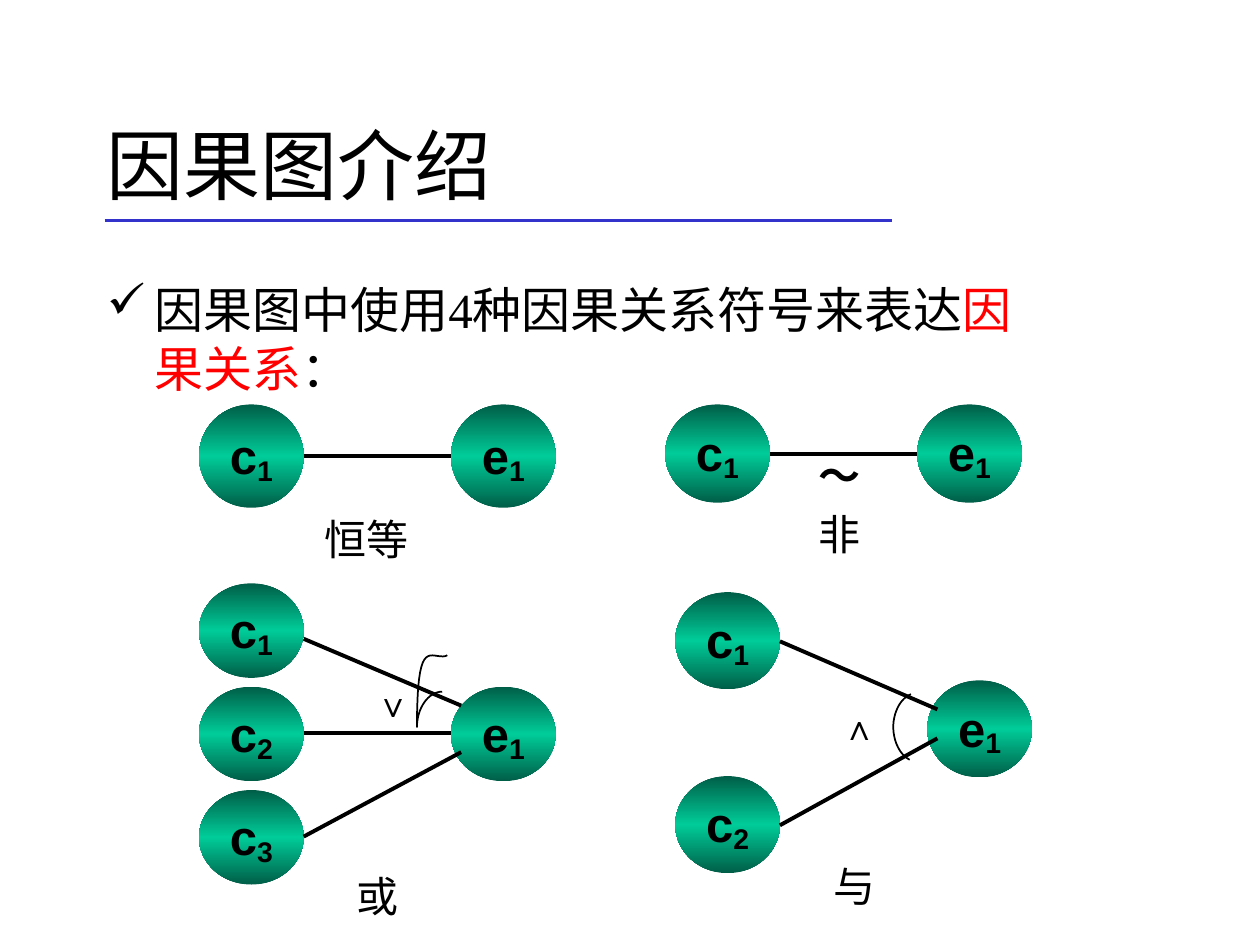
import copy
import dataclasses

import lxml.etree
import pptx
import pptx.dml.color
import pptx.enum.shapes
import pptx.enum.text
import pptx.oxml.ns
import pptx.util

PX = 9144
NODE_WIDTH = 83
EFFECT_LEFT = 200


@dataclasses.dataclass(frozen=True)
class Theme:
    """Colours, fonts and type sizes of the slide."""
    ink: str = "000000"
    accent: str = "FF0000"
    rule: str = "3333CC"
    node_edge: str = "005E47"
    node_middle: str = "00CC99"
    body_font: str = "Times New Roman"
    node_font: str = "Arial"
    title_size: int = 44
    text_size: int = 28
    caption_size: int = 24
    mark_size: int = 20
    link_width: float = 2.25
    arc_width: float = 1


THEME = Theme()
ALIGN = pptx.enum.text.PP_ALIGN
ANCHOR = pptx.enum.text.MSO_ANCHOR


def px(*lengths):
    """Turn px lengths into a list of EMU lengths."""
    return [pptx.util.Emu(round(length * PX)) for length in lengths]


def rgb(code):
    """Return the colour of a hexadecimal code."""
    return pptx.dml.color.RGBColor.from_string(code)


def write_text(para, text, size=THEME.text_size, font=THEME.body_font,
               color=THEME.ink, bold=False, baseline=None):
    """Append a formatted span to a paragraph."""
    span = para.add_run()
    span.text = text
    span.font.size = pptx.util.Pt(size)
    span.font.name = font
    span.font.bold = bold
    span.font.color.rgb = rgb(color)
    if baseline:
        span.font._element.set("baseline", str(baseline * 1000))


def add_box(shapes, left, top, width, height, align=ALIGN.LEFT, anchor=ANCHOR.TOP):
    """Add a wrapping text box and return its first paragraph."""
    frame = shapes.add_textbox(*px(left, top, width, height)).text_frame
    frame.word_wrap = True
    frame.vertical_anchor = anchor
    para = frame.paragraphs[0]
    para.alignment = align
    return para


def add_line(shapes, ends, color=THEME.ink):
    """Add a straight line without a shadow."""
    line = shapes.add_connector(pptx.enum.shapes.MSO_CONNECTOR.STRAIGHT, *px(*ends))
    line.line.color.rgb = rgb(color)
    line.line.width = pptx.util.Pt(THEME.link_width)
    lxml.etree.SubElement(line._element.spPr, pptx.oxml.ns.qn("a:effectLst"))


def add_node(shapes, left, top, height, letter, number):
    """Add a shaded ellipse with a subscripted label."""
    node = shapes.add_shape(pptx.enum.shapes.MSO_SHAPE.OVAL,
                            *px(left, top, NODE_WIDTH, height))
    node.shadow.inherit = False
    node.line.fill.background()
    node.fill.gradient()
    node.fill.gradient_angle = 90
    stop_list = node._element.spPr.find(".//" + pptx.oxml.ns.qn("a:gsLst"))
    stop_list.append(copy.deepcopy(stop_list[0]))
    colors = (THEME.node_edge, THEME.node_middle, THEME.node_edge)
    for index, (stop, color) in enumerate(zip(node.fill.gradient_stops, colors)):
        stop.position = index / 2
        stop.color.rgb = rgb(color)
    frame = node.text_frame
    frame.word_wrap = False
    frame.vertical_anchor = ANCHOR.MIDDLE
    para = frame.paragraphs[0]
    para.alignment = ALIGN.CENTER
    write_text(para, letter, font=THEME.node_font, bold=True)
    write_text(para, str(number), font=THEME.node_font, bold=True, baseline=-14)


def curve_points(start, curves, steps=16):
    """Sample points along a chain of cubic curves."""
    points = [start]
    for first, second, end in curves:
        corners = (points[-1], first, second, end)
        for step in range(1, steps + 1):
            t = step / steps
            weights = ((1 - t) ** 3, 3 * t * (1 - t) ** 2, 3 * t * t * (1 - t), t ** 3)
            points.append(tuple(sum(weight * corner[axis] for weight, corner
                                    in zip(weights, corners)) for axis in (0, 1)))
    return points


def add_arc(shapes, left, top, start, curves):
    """Add an open, unfilled curve."""
    points = [px(left + x, top + y) for x, y in curve_points(start, curves)]
    builder = shapes.build_freeform(*points[0])
    builder.add_line_segments(points[1:], close=False)
    arc = builder.convert_to_shape()
    arc.shadow.inherit = False
    arc.fill.background()
    arc.line.color.rgb = rgb(THEME.ink)
    arc.line.width = pptx.util.Pt(THEME.arc_width)


def add_heading(page, left, top, width, height):
    """Place the title and the rule under it."""
    add_line(page.shapes, (left + 8, top + 108, left + 633, top + 108), THEME.rule)
    para = add_box(page.shapes, left, top, width, height, anchor=ANCHOR.MIDDLE)
    write_text(para, "因果图介绍", size=THEME.title_size)


def add_statement(page, left, top, width, height):
    """Place the ticked sentence."""
    para = add_box(page.shapes, left, top, width, height)
    properties = para._p.get_or_add_pPr()
    indent, = px(38)
    properties.set("marL", str(indent))
    properties.set("indent", str(-indent))
    tint = lxml.etree.SubElement(properties, pptx.oxml.ns.qn("a:buClr"))
    lxml.etree.SubElement(tint, pptx.oxml.ns.qn("a:srgbClr"), val=THEME.ink)
    lxml.etree.SubElement(properties, pptx.oxml.ns.qn("a:buChar"), char="✓")
    write_text(para, "因果图中使用4种因果关系符号来表达")
    write_text(para, "因果关系", color=THEME.accent)
    write_text(para, "：")


def add_relation(page, left, top, height, causes, effect, links, caption,
                 mark=None, arc=None):
    """Place one relation: causes, effect, links, caption, mark and arc."""
    shapes = page.shapes.add_group_shape().shapes
    for number, cause_top in enumerate(causes, 1):
        add_node(shapes, left, top + cause_top, height, "c", number)
    add_node(shapes, left + EFFECT_LEFT, top + effect, height, "e", 1)
    for x1, y1, x2, y2 in links:
        add_line(shapes, (left + x1, top + y1, left + x2, top + y2))
    text, x, y = caption
    para = add_box(shapes, left + x, top + y, 150, 50, align=ALIGN.CENTER)
    write_text(para, text, size=THEME.caption_size)
    if mark:
        text, x, y, width, size = mark
        para = add_box(shapes, left + x, top + y, width, 2 * size, align=ALIGN.CENTER)
        write_text(para, text, size=size, bold=True)
    if arc:
        add_arc(shapes, left, top, *arc)


def main():
    """Build and save the deck."""
    deck = pptx.Presentation()
    deck.slide_width, deck.slide_height = px(1000, 750)
    page = deck.slides.add_slide(deck.slide_layouts[6])
    add_heading(page, 75, 67, 850, 125)
    add_statement(page, 75, 217, 760, 533)
    add_relation(page, 158, 321, 82, causes=[0], effect=0,
                 links=[(83, 41, 200, 41)], caption=("恒等", 58, 82))
    add_relation(page, 528, 321, 78, causes=[0], effect=0,
                 links=[(83, 39, 200, 39)], caption=("非", 63, 78),
                 mark=("～", 92, 31, 92, THEME.caption_size))
    add_relation(page, 158, 463, 75, causes=[0, 82, 164], effect=82,
                 links=[(83, 44, 208, 97), (83, 119, 200, 119), (83, 201, 208, 134)],
                 caption=("或", 67, 223), mark=("∨", 125, 74, 58, THEME.mark_size),
                 arc=((193, 86), [((182, 86), (173, 99), (173, 114)),
                                  ((173, 46), (182, 58), (193, 58)),
                                  ((194, 58), (196, 58), (197, 57))]))
    add_relation(page, 536, 470, 77, causes=[0, 146], effect=70,
                 links=[(83, 39, 208, 93), (83, 185, 208, 116)],
                 caption=("与", 67, 208), mark=("∧", 117, 85, 58, THEME.mark_size),
                 arc=((187, 81), [((179, 84), (173, 95), (173, 107)),
                                  ((173, 118), (178, 129), (186, 133))]))
    deck.save("out.pptx")


if __name__ == "__main__":
    main()
